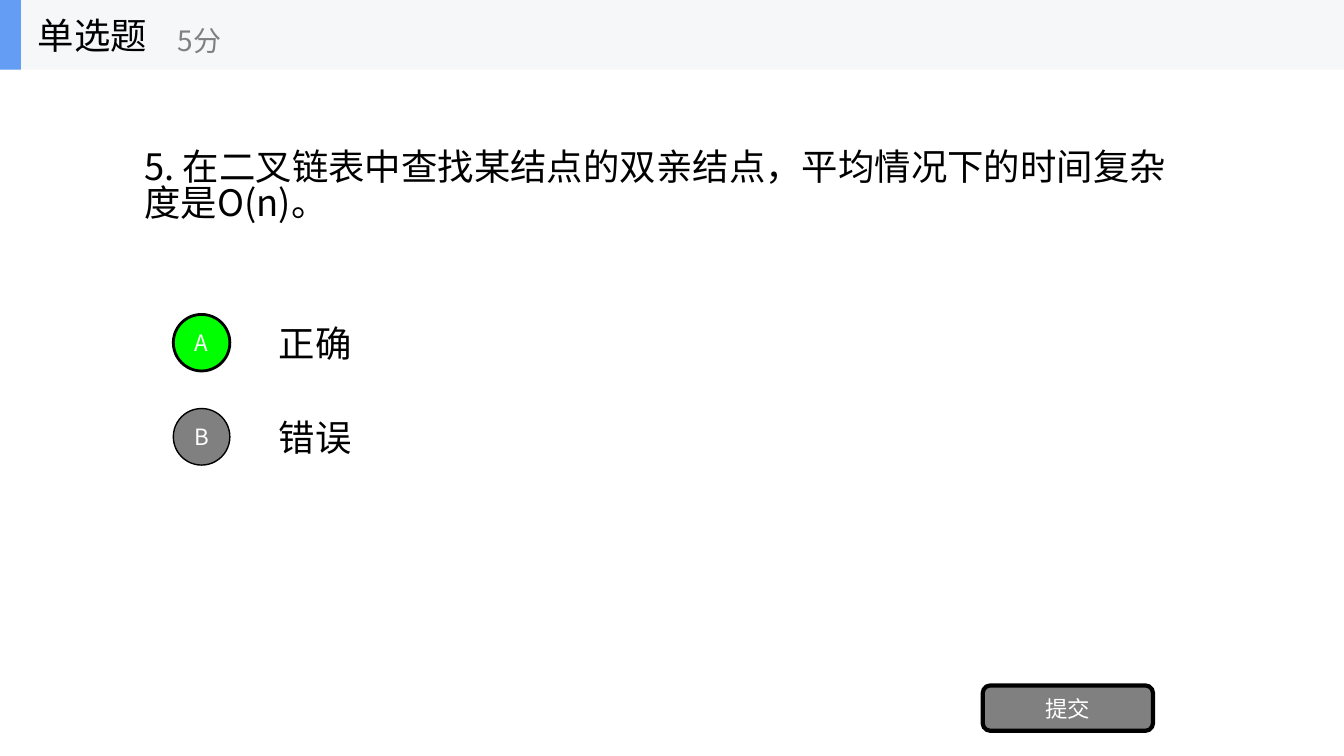
from dataclasses import dataclass

from lxml import etree
from pptx import Presentation
from pptx.dml.color import RGBColor
from pptx.enum import shapes, text
from pptx.oxml import ns
from pptx.util import Pt

FONT = "Noto Sans CJK SC"
BLACK, WHITE, GRAY, GREEN = "000000", "FFFFFF", "808080", "00FF00"
HEADER_H = 49.8
OPTION_TOP, OPTION_STEP = 219.6, 67.2


@dataclass
class Box:
    left: float
    top: float
    width: float
    height: float


@dataclass
class Label:
    text: str
    box: Box
    size: float = 26
    color: str = BLACK
    line_spacing: float = 1.0


@dataclass
class Button:
    text: str
    box: Box
    kind: shapes.MSO_SHAPE
    fill: str
    border: float


@dataclass
class Option:
    letter: str
    answer: str
    fill: str
    border: float


HEADER_BARS = [
    (Box(0, 0, 960, HEADER_H), "F6F7F8"),
    (Box(0, 0, 15, HEADER_H), "639EF4"),
]
HEADER_LABELS = [
    Label("单选题", Box(20, 0, 150, HEADER_H)),
    Label("5分", Box(120, 9, 180, 40), 20, GRAY),
]
QUESTION = Label(
    "5. 在二叉链表中查找某结点的双亲结点，平均情况下的时间复杂度是O(n)。",
    Box(96, 50, 768, 168), line_spacing=0.83)
OPTIONS = [Option("A", "正确", GREEN, 2), Option("B", "错误", GRAY, 1)]
SUBMIT = Button("提交", Box(702, 489.6, 121.6, 32.4),
                shapes.MSO_SHAPE.ROUNDED_RECTANGLE, GRAY, 3)


def rgb(value: str) -> RGBColor:
    return RGBColor.from_string(value)


def place(box: Box) -> list:
    """Left, top, width and height as lengths."""
    return [Pt(v) for v in (box.left, box.top, box.width, box.height)]


def write(sp, content: str, size: float, color: str, align: text.PP_ALIGN):
    tf = sp.text_frame
    tf.text = content
    tf.word_wrap = True
    tf.vertical_anchor = text.MSO_ANCHOR.MIDDLE
    p = tf.paragraphs[0]
    p.alignment = align
    font = p.runs[0].font
    font.size = Pt(size)
    font.color.rgb = rgb(color)
    font.name = FONT
    latin = p.runs[0].font._element.find(ns.qn("a:latin"))
    east_asian = etree.Element(ns.qn("a:ea"), typeface=FONT)
    latin.addnext(east_asian)
    return p


def add_label(parent, label: Label) -> None:
    sp = parent.add_textbox(*place(label.box))
    p = write(sp, label.text, label.size, label.color, text.PP_ALIGN.LEFT)
    if label.line_spacing != 1:
        p.line_spacing = label.line_spacing


def add_filled(parent, kind: shapes.MSO_SHAPE, box: Box, fill: str):
    sp = parent.add_shape(kind, *place(box))
    sp.shadow.inherit = False
    sp.fill.solid()
    sp.fill.fore_color.rgb = rgb(fill)
    sp.line.fill.background()
    return sp


def add_button(parent, button: Button) -> None:
    sp = add_filled(parent, button.kind, button.box, button.fill)
    sp.line.color.rgb = rgb(BLACK)
    sp.line.width = Pt(button.border)
    tf = sp.text_frame
    tf.margin_left = tf.margin_right = tf.margin_top = tf.margin_bottom = 0
    write(sp, button.text, 16, WHITE, text.PP_ALIGN.CENTER)


def main() -> None:
    prs = Presentation()
    prs.slide_width, prs.slide_height = Pt(960), Pt(540)
    s = prs.slides.add_slide(prs.slide_layouts[6])

    add_label(s.shapes, QUESTION)
    for i, option in enumerate(OPTIONS):
        top = OPTION_TOP + i * OPTION_STEP
        add_label(s.shapes, Label(option.answer, Box(192, top, 672, 50.4)))
        circle = Box(123.8, top + 5, 40.4, 40.4)
        add_button(s.shapes, Button(option.letter, circle, shapes.MSO_SHAPE.OVAL,
                                    option.fill, option.border))
    add_button(s.shapes, SUBMIT)

    header = s.shapes.add_group_shape().shapes
    for box, fill in HEADER_BARS:
        add_filled(header, shapes.MSO_SHAPE.RECTANGLE, box, fill)
    for label in HEADER_LABELS:
        add_label(header, label)

    prs.save("out.pptx")


if __name__ == "__main__":
    main()
